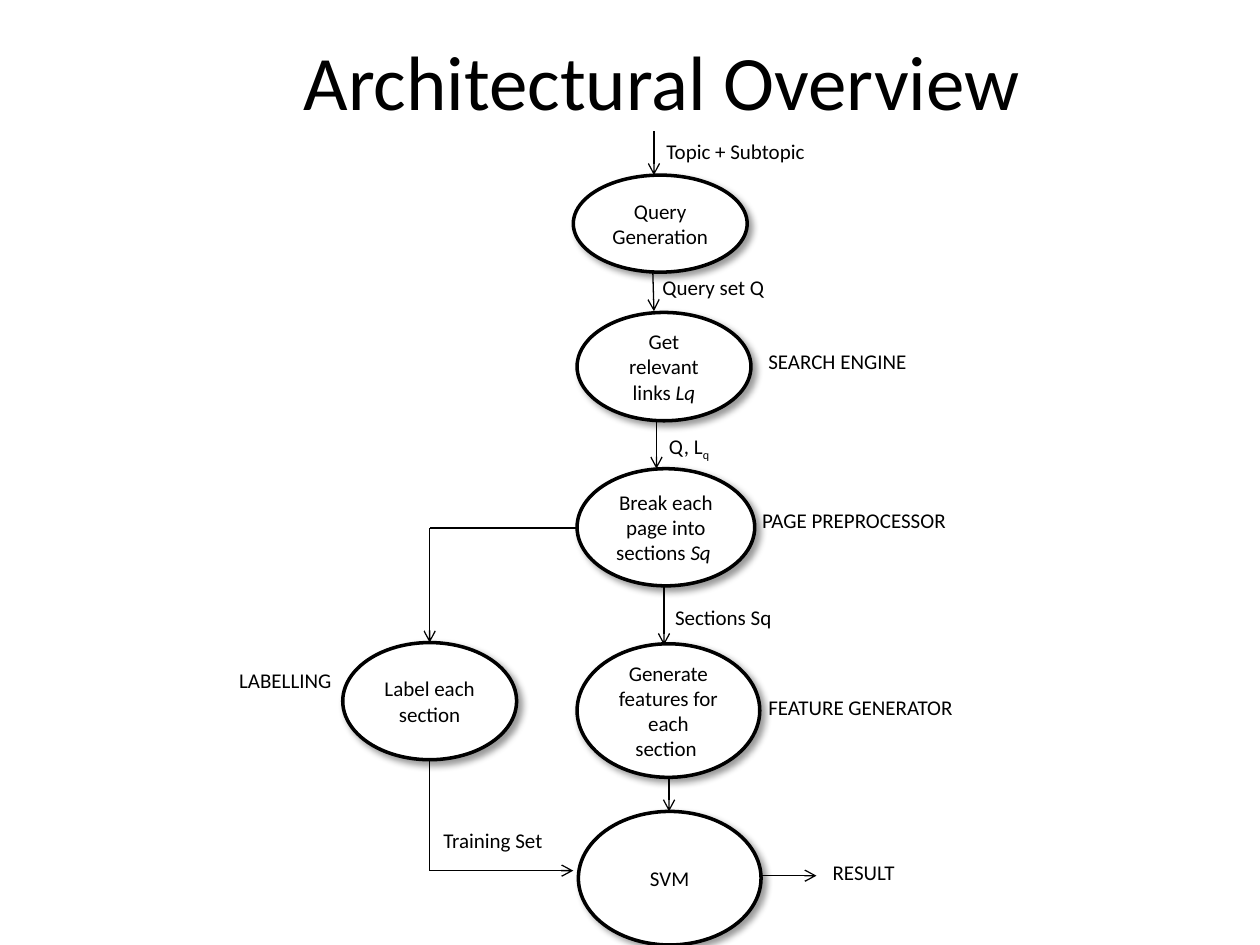
"""Build the architectural overview flow slide."""
from dataclasses import dataclass, field
from typing import Any

import pptx
import pptx.dml.color
import pptx.enum.shapes
import pptx.enum.text
import pptx.oxml
import pptx.oxml.ns
import pptx.util
from lxml import etree

Inches = pptx.util.Inches
Align = pptx.enum.text.PP_ALIGN
Anchor = pptx.enum.text.MSO_ANCHOR


@dataclass(frozen=True)
class Theme:
    ink: Any = pptx.dml.color.RGBColor(0, 0, 0)
    paper: Any = pptx.dml.color.RGBColor(255, 255, 255)
    font: str = "Calibri"
    title_size: Any = pptx.util.Pt(44)
    body_size: Any = pptx.util.Pt(12)
    outline: Any = pptx.util.Pt(2)
    flow: Any = pptx.util.Pt(0.75)


@dataclass(frozen=True)
class Phrase:
    text: str
    style: dict[str, Any] = field(default_factory=dict)
    baseline: int = 0


@dataclass(frozen=True)
class Box:
    left: float
    top: float
    width: float
    height: float
    wording: tuple[Phrase, ...]
    align: Any = Align.LEFT


@dataclass(frozen=True)
class Flow:
    start: tuple[float, float]
    end: tuple[float, float]
    arrow: bool = True


THEME = Theme()
ITALIC = {"italic": True}
TITLE = Box(0.84, 0.01, 8.83, 1.25, (Phrase("Architectural Overview"),), Align.CENTER)

STAGES = (
    Box(4.55, 1.39, 1.38, 0.77, (Phrase("Query Generation"),), Align.CENTER),
    Box(4.58, 2.48, 1.38, 0.86,
        (Phrase("Get relevant links "), Phrase("Lq", ITALIC)), Align.CENTER),
    Box(4.58, 3.72, 1.41, 0.93,
        (Phrase("Break each page into sections "), Phrase("Sq\N{NO-BREAK SPACE}", ITALIC)),
        Align.CENTER),
    Box(4.58, 5.11, 1.45, 1.06,
        (Phrase("Generate features for each section\N{NO-BREAK SPACE}"),), Align.CENTER),
    Box(2.72, 5.1, 1.38, 0.93, (Phrase("Label each section"),), Align.CENTER),
    Box(4.59, 6.44, 1.45, 1.06, (Phrase("SVM"),), Align.CENTER),
)

LABELS = (
    Box(5.19, 1.05, 1.78, 0.28, (Phrase("Topic + Subtopic"),)),
    Box(5.16, 2.13, 2.97, 0.28, (Phrase("Query set Q"),)),
    Box(6, 2.72, 1.7, 0.28, (Phrase("SEARCH ENGINE"),)),
    Box(5.21, 3.39, 1.33, 0.34, (Phrase("Q, L"), Phrase("q", baseline=-25000))),
    Box(5.95, 3.98, 1.75, 0.3, (Phrase("PAGE PREPROCESSOR"),)),
    Box(5.26, 4.75, 2.97, 0.28, (Phrase("Sections Sq"),)),
    Box(1.67, 5.25, 1.06, 0.3, (Phrase("LABELLING"),), Align.RIGHT),
    Box(6, 5.46, 1.7, 0.3, (Phrase("FEATURE GENERATOR"),)),
    Box(3.42, 6.52, 2.97, 0.3, (Phrase("Training Set"),)),
    Box(6.51, 6.77, 0.82, 0.3, (Phrase("RESULT"),)),
)

FLOWS = (
    Flow((5.19, 1.04), (5.19, 1.39)),
    Flow((5.18, 2.12), (5.19, 2.47)),
    Flow((5.21, 3.28), (5.21, 3.72)),
    Flow((5.27, 4.66), (5.27, 5.12)),
    Flow((5.31, 6.17), (5.31, 6.44)),
    Flow((4.58, 4.19), (3.41, 4.19), arrow=False),
    Flow((3.41, 4.19), (3.41, 5.1)),
    Flow((3.41, 6.03), (3.41, 6.91), arrow=False),
    Flow((3.41, 6.91), (4.55, 6.91)),
    Flow((5.92, 6.95), (6.48, 6.95)),
)

SHADOW = (
    f'<a:effectLst {pptx.oxml.ns.nsdecls("a")}>'
    '<a:outerShdw blurRad="50800" dist="38100" dir="2700000" algn="tl" rotWithShape="0">'
    '<a:srgbClr val="000000"><a:alpha val="40000"/></a:srgbClr>'
    '</a:outerShdw></a:effectLst>'
)


def apply_format(target: Any, values: dict[str, Any]) -> None:
    """Set each named attribute on the target."""
    for name, value in values.items():
        setattr(target, name, value)


def frame(box: Box) -> dict[str, Any]:
    """Return the position and size of a box."""
    return {
        "left": Inches(box.left),
        "top": Inches(box.top),
        "width": Inches(box.width),
        "height": Inches(box.height),
    }


def write_text(shape: Any, box: Box, size: Any, anchor: Any) -> None:
    """Write the phrases of a box as one paragraph."""
    apply_format(shape.text_frame, {"word_wrap": True, "vertical_anchor": anchor})
    paragraph = shape.text_frame.paragraphs[0]
    paragraph.alignment = box.align
    for phrase in box.wording:
        run = paragraph.add_run()
        run.text = phrase.text
        apply_format(run.font, {"name": THEME.font, "size": size, **phrase.style})
        run.font.color.rgb = THEME.ink
        if phrase.baseline:
            run.font._element.set("baseline", str(phrase.baseline))


def draw_title(slide: Any, box: Box) -> None:
    """Place and fill the title placeholder."""
    title = slide.shapes.title
    apply_format(title, frame(box))
    write_text(title, box, THEME.title_size, Anchor.MIDDLE)


def draw_label(slide: Any, box: Box) -> None:
    """Draw a plain text label."""
    label = slide.shapes.add_textbox(**frame(box))
    write_text(label, box, THEME.body_size, Anchor.TOP)


def draw_stage(slide: Any, box: Box) -> None:
    """Draw a processing stage as a shadowed ellipse."""
    stage = slide.shapes.add_shape(pptx.enum.shapes.MSO_SHAPE.OVAL, **frame(box))
    stage.fill.solid()
    stage.fill.fore_color.rgb = THEME.paper
    stage.line.color.rgb = THEME.ink
    stage.line.width = THEME.outline
    stage._element.spPr.append(pptx.oxml.parse_xml(SHADOW))
    write_text(stage, box, THEME.body_size, Anchor.MIDDLE)


def draw_flow(slide: Any, flow: Flow) -> None:
    """Draw a straight flow line, with an arrowhead if it has one."""
    ends = (Inches(value) for value in (*flow.start, *flow.end))
    connector = slide.shapes.add_connector(pptx.enum.shapes.MSO_CONNECTOR.STRAIGHT, *ends)
    connector.line.color.rgb = THEME.ink
    connector.line.width = THEME.flow
    properties = connector._element.spPr
    if flow.arrow:
        outline = properties.find(pptx.oxml.ns.qn("a:ln"))
        etree.SubElement(outline, pptx.oxml.ns.qn("a:tailEnd"), type="arrow")
    etree.SubElement(properties, pptx.oxml.ns.qn("a:effectLst"))


def main() -> None:
    """Build and save the slide."""
    deck = pptx.Presentation()
    apply_format(deck, {"slide_width": Inches(10), "slide_height": Inches(7.5)})
    slide = deck.slides.add_slide(deck.slide_layouts.get_by_name("Title Only"))
    draw_title(slide, TITLE)
    for draw, items in ((draw_flow, FLOWS), (draw_stage, STAGES), (draw_label, LABELS)):
        for item in items:
            draw(slide, item)
    deck.save("out.pptx")


if __name__ == "__main__":
    main()
